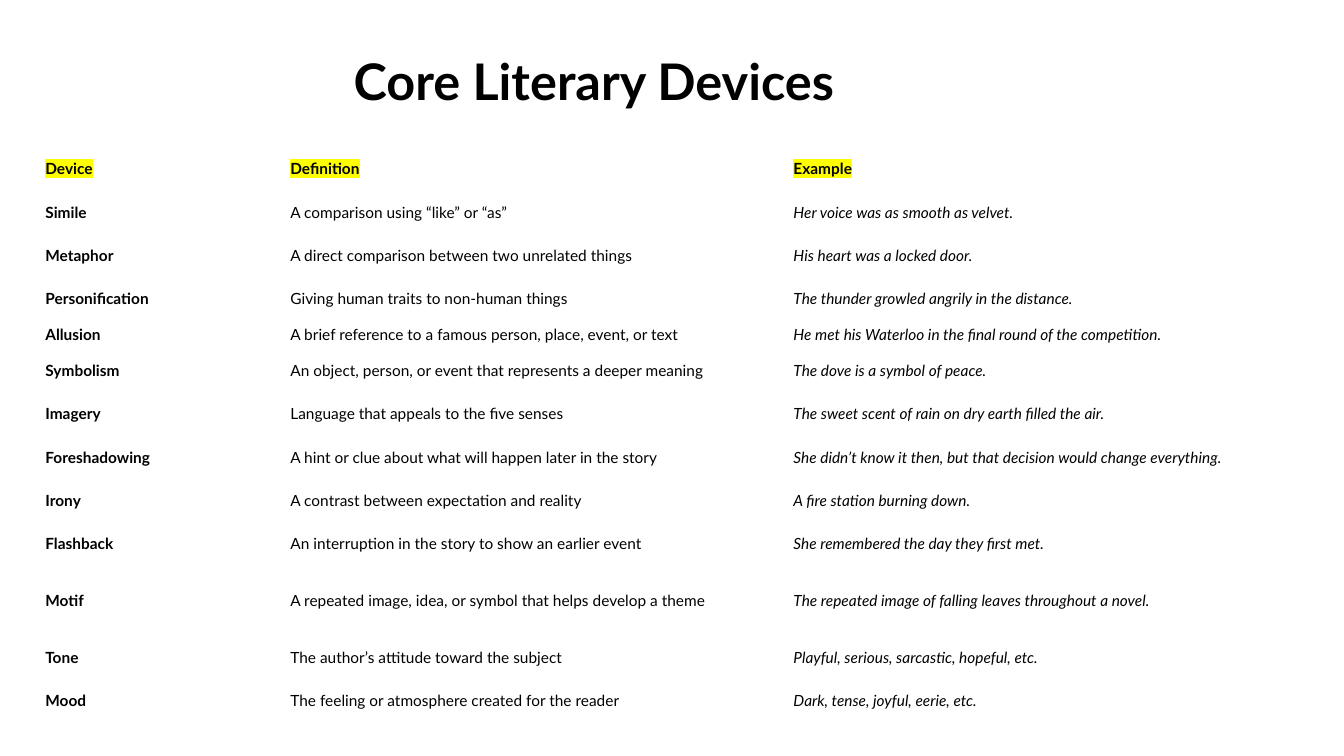
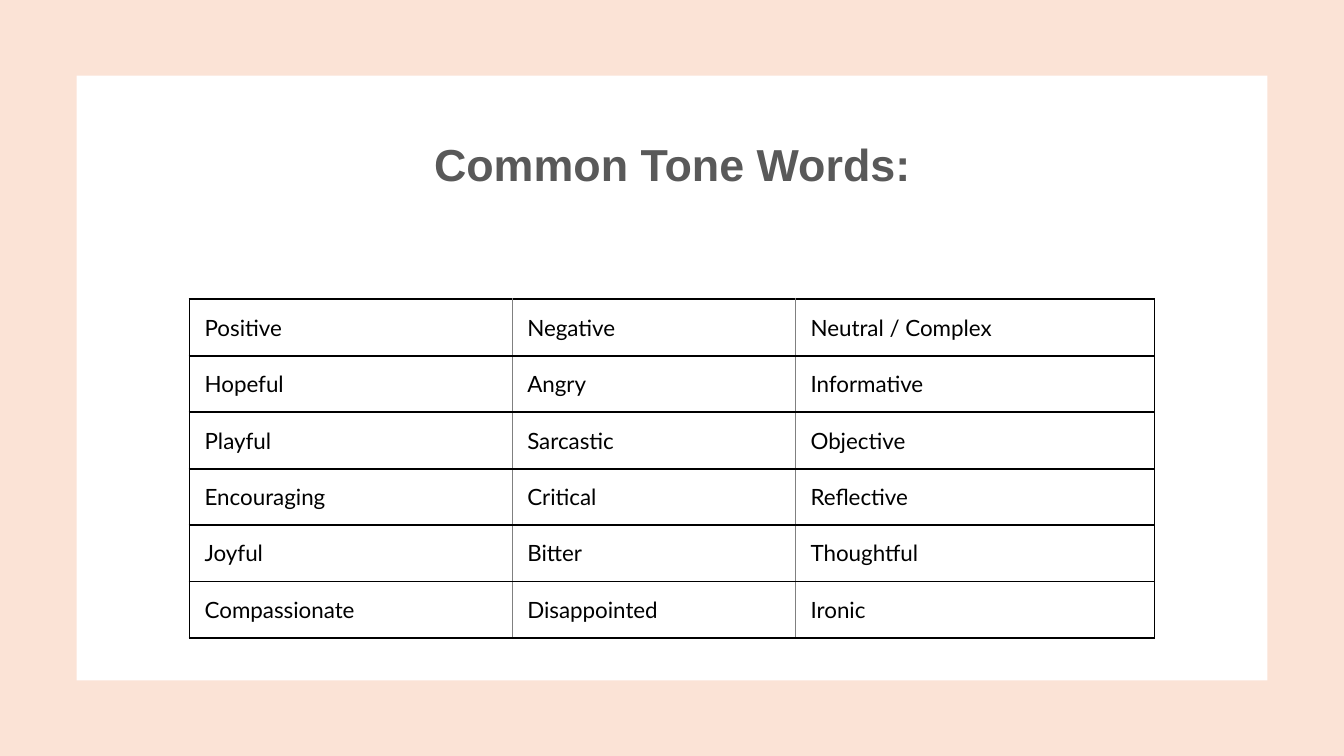
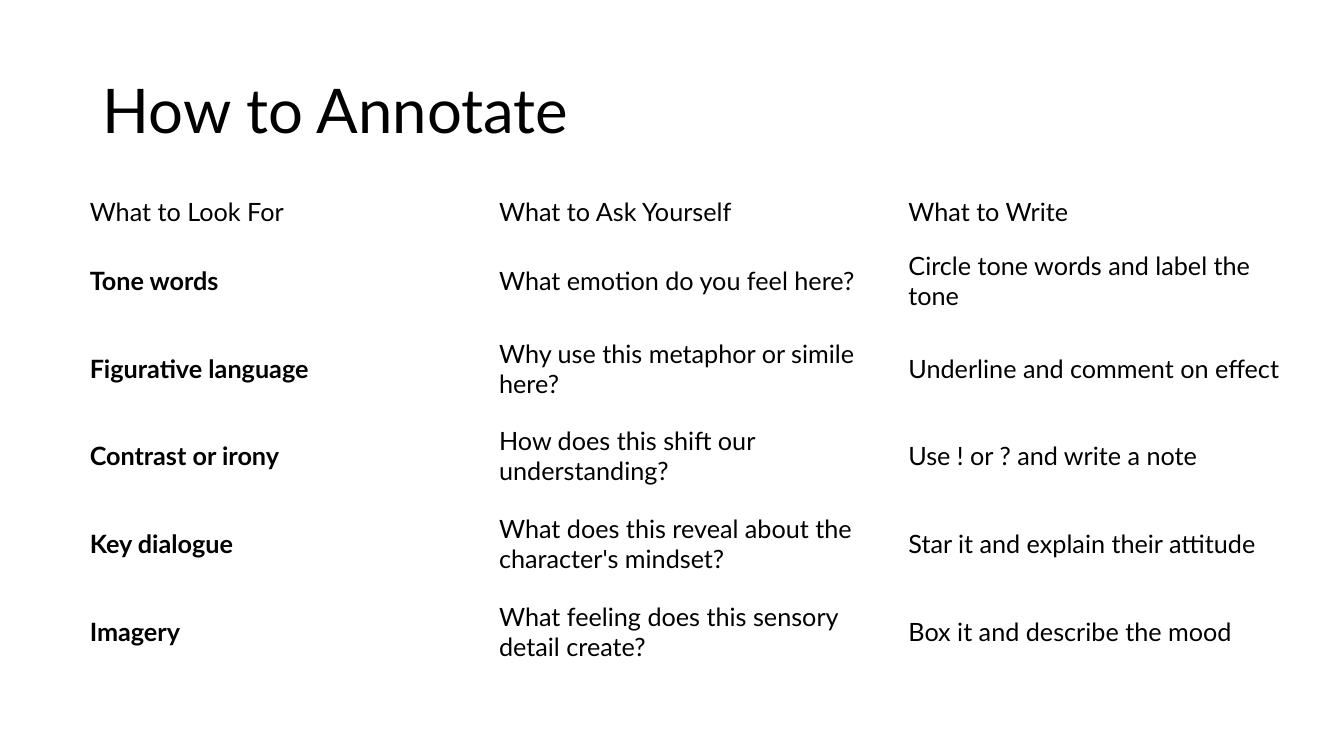
from lxml.etree import SubElement
from pptx import Presentation
from pptx.dml.color import RGBColor
from pptx.enum.shapes import MSO_SHAPE
from pptx.enum.text import MSO_ANCHOR, PP_ALIGN
from pptx.oxml import parse_xml
from pptx.oxml.ns import nsdecls, qn
from pptx.util import Inches, Pt

BLACK = RGBColor(0x00, 0x00, 0x00)
WHITE = RGBColor(0xFF, 0xFF, 0xFF)
GRAY = RGBColor(0x80, 0x80, 0x80)
TITLE_GRAY = RGBColor(0x59, 0x59, 0x59)
PEACH = RGBColor(0xFB, 0xE3, 0xD6)
YELLOW = RGBColor(0xFF, 0xFF, 0x00)
BODY_FONT = "Lato"
NO_TABLE_STYLE = "{2D5ABB26-0587-4C30-8999-92F81FD0307C}"


def add_title(slide, text, position, size, align=PP_ALIGN.CENTER,
              font=BODY_FONT, color=BLACK, bold=True):
    box = slide.shapes.add_textbox(*[Inches(length) for length in position])
    frame = box.text_frame
    frame.word_wrap = True
    frame.vertical_anchor = MSO_ANCHOR.MIDDLE
    frame.text = text
    para = frame.paragraphs[0]
    para.alignment = align
    para.line_spacing = 0.9
    span = para.runs[0]
    span.font.name = font
    span.font.size = Pt(size)
    span.font.bold = bold
    span.font.color.rgb = color
    return frame


def add_text_table(slide, rows, left, top, widths, heights, size, margins):
    """Add an unfilled table; margins are left, top, right and bottom."""
    frame = slide.shapes.add_table(
        len(rows), len(widths), Inches(left), Inches(top),
        Inches(sum(widths)), Inches(sum(heights)))
    table = frame.table
    table.first_row = False
    table.horz_banding = False
    table._tbl.tblPr.find(qn("a:tableStyleId")).text = NO_TABLE_STYLE
    for column, width in zip(table.columns, widths):
        column.width = Inches(width)
    for row, height, texts in zip(table.rows, heights, rows):
        row.height = Inches(height)
        for cell, text in zip(row.cells, texts):
            cell.fill.background()
            cell.vertical_anchor = MSO_ANCHOR.MIDDLE
            (cell.margin_left, cell.margin_top,
             cell.margin_right, cell.margin_bottom) = [Inches(m) for m in margins]
            cell.text_frame.text = text
            font = cell.text_frame.paragraphs[0].runs[0].font
            font.name = BODY_FONT
            font.size = Pt(size)
            font.bold = False
            font.color.rgb = BLACK
    return table


deck = Presentation()
deck.slide_width = Inches(13.33)
deck.slide_height = Inches(7.5)
blank = deck.slide_layouts[6]

# Literary devices
slide = deck.slides.add_slide(blank)
add_title(slide, "Core Literary Devices", (0.88, 0.22, 10.02, 1.24), 36)

devices = [
    ("Device", "Definition", "Example"),
    ("Simile", "A comparison using “like” or “as”",
     "Her voice was as smooth as velvet."),
    ("Metaphor", "A direct comparison between two unrelated things",
     "His heart was a locked door."),
    ("Personification", "Giving human traits to non-human things",
     "The thunder growled angrily in the distance."),
    ("Allusion", "A brief reference to a famous person, place, event, or text",
     "He met his Waterloo in the final round of the competition."),
    ("Symbolism", "An object, person, or event that represents a deeper meaning",
     "The dove is a symbol of peace."),
    ("Imagery", "Language that appeals to the five senses",
     "The sweet scent of rain on dry earth filled the air."),
    ("Foreshadowing", "A hint or clue about what will happen later in the story",
     "She didn’t know it then, but that decision would change everything."),
    ("Irony", "A contrast between expectation and reality",
     "A fire station burning down."),
    ("Flashback", "An interruption in the story to show an earlier event",
     "She remembered the day they first met."),
    ("Motif", "A repeated image, idea, or symbol that helps develop a theme",
     "The repeated image of falling leaves throughout a novel."),
    ("Tone", "The author’s attitude toward the subject",
     "Playful, serious, sarcastic, hopeful, etc."),
    ("Mood", "The feeling or atmosphere created for the reader",
     "Dark, tense, joyful, eerie, etc."),
]
special_heights = {"Allusion": 0.28, "Motif": 0.7}
heights = [special_heights.get(device[0], 0.43) for device in devices]
table = add_text_table(slide, devices, 0.39, 1.46, (2.43, 4.99, 5.36), heights,
                       11, (0.06, 0.03, 0.06, 0.03))
for row_index, row in enumerate(table.rows):
    for column_index, cell in enumerate(row.cells):
        span = cell.text_frame.paragraphs[0].runs[0]
        header = row_index == 0
        span.font.bold = header or column_index == 0
        span.font.italic = not header and column_index == 2
        if header:
            highlight = parse_xml(
                f'<a:highlight {nsdecls("a")}><a:srgbClr val="{YELLOW}"/></a:highlight>')
            span._r.rPr.find(qn("a:solidFill")).addnext(highlight)

# Tone words
slide = deck.slides.add_slide(blank)
for position, color in (((0, 0, 13.33, 7.5), PEACH),
                        ((0.76, 0.75, 11.81, 6), WHITE)):
    panel = slide.shapes.add_shape(
        MSO_SHAPE.RECTANGLE, *[Inches(length) for length in position])
    panel.shadow.inherit = False
    panel.fill.solid()
    panel.fill.fore_color.rgb = color
    panel.line.fill.background()
frame = add_title(slide, "Common Tone Words:", (1.59, 1.13, 10.16, 1.5), 32,
                  font="Arial", color=TITLE_GRAY)
frame.margin_bottom = Inches(0.5)

tone_words = [
    ("Positive", "Negative", "Neutral / Complex"),
    ("Hopeful", "Angry", "Informative"),
    ("Playful", "Sarcastic", "Objective"),
    ("Encouraging", "Critical", "Reflective"),
    ("Joyful", "Bitter", "Thoughtful"),
    ("Compassionate", "Disappointed", "Ironic"),
]
table = add_text_table(slide, tone_words, 1.88, 2.97, (3.2, 2.81, 3.56),
                       [0.56] * len(tone_words), 16, (0.15, 0.12, 0.12, 0.12))
outer = (BLACK, 1.5)
inner = (GRAY, 0.5)
for row in table.rows:
    for column_index, cell in enumerate(row.cells):
        borders = {
            "a:lnL": outer if column_index == 0 else inner,
            "a:lnR": outer if column_index == 2 else inner,
            "a:lnT": outer,
            "a:lnB": outer,
        }
        properties = cell._tc.get_or_add_tcPr()
        for order, (side, (color, width)) in enumerate(borders.items()):
            line = SubElement(properties, qn(side), w=str(Pt(width)))
            fill = SubElement(line, qn("a:solidFill"))
            SubElement(fill, qn("a:srgbClr"), val=str(color))
            properties.insert(order, line)

# Annotation guide
slide = deck.slides.add_slide(blank)
add_title(slide, "How to Annotate", (0.92, 0.4, 11.5, 1.45), 44,
          align=PP_ALIGN.LEFT, bold=False)

annotation_steps = [
    ("What to Look For", "What to Ask Yourself", "What to Write"),
    ("Tone words", "What emotion do you feel here?",
     "Circle tone words and label the tone"),
    ("Figurative language", "Why use this metaphor or simile here?",
     "Underline and comment on effect"),
    ("Contrast or irony", "How does this shift our understanding?",
     "Use ! or ? and write a note"),
    ("Key dialogue", "What does this reveal about the character's mindset?",
     "Star it and explain their attitude"),
    ("Imagery", "What feeling does this sensory detail create?",
     "Box it and describe the mood"),
]
table = add_text_table(slide, annotation_steps, 0.79, 1.85, [4.06] * 3,
                       [0.5] + [0.87] * 5, 18, (0.1, 0.05, 0.1, 0.05))
for row_index in range(1, len(annotation_steps)):
    cell = table.cell(row_index, 0)
    cell.text_frame.paragraphs[0].runs[0].font.bold = True

deck.save("out.pptx")
